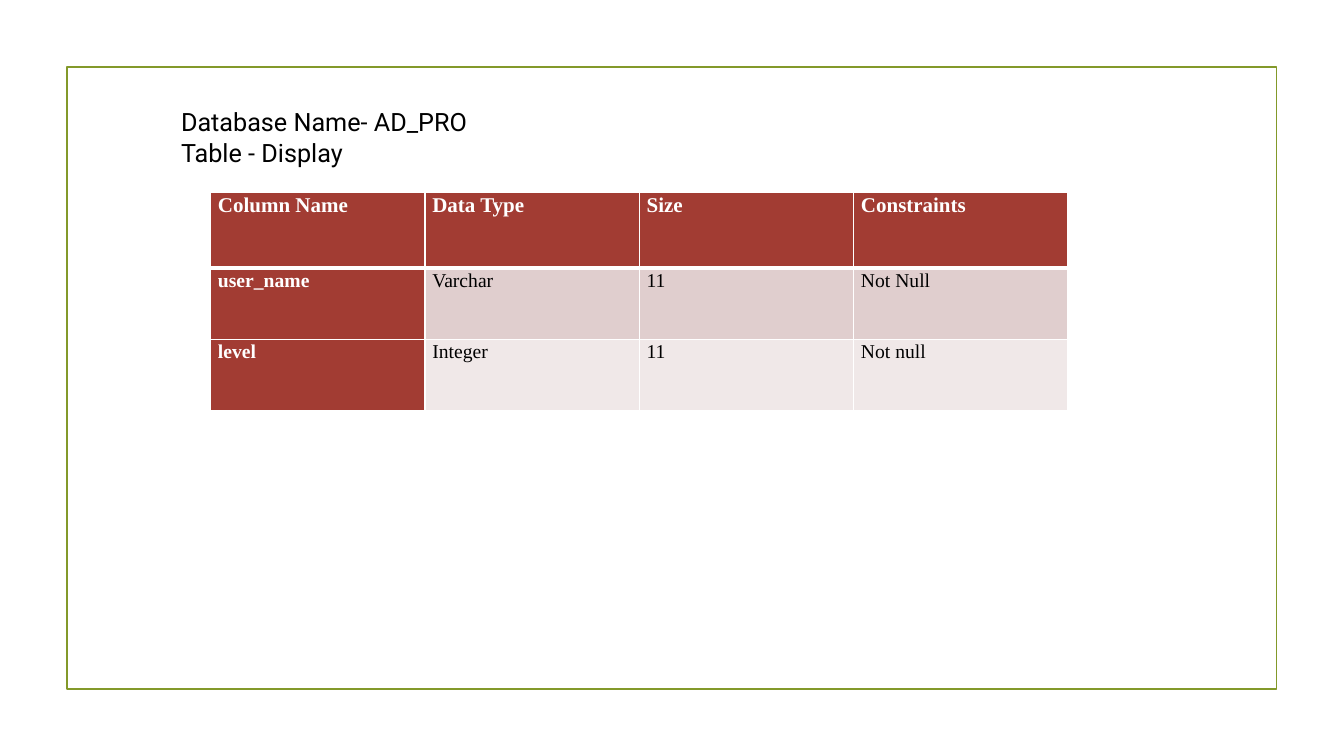
from lxml.etree import SubElement
from pptx import Presentation
from pptx.dml.color import RGBColor
from pptx.enum.shapes import MSO_SHAPE
from pptx.enum.text import MSO_AUTO_SIZE
from pptx.oxml.ns import qn
from pptx.util import Pt

WHITE, BLACK, OLIVE, BRICK = "FFFFFF", "000000", "83992A", "A23C33"
BANDS = ["E0CECE", "F0E8E8"]
COLUMN_WIDTH = 153.1
ROW_HEIGHTS = [54, 51, 51]
SCHEMA = [
    ["Column Name", "Data Type", "Size", "Constraints"],
    ["user_name", "Varchar", "11", "Not Null"],
    ["level", "Integer", "11", "Not null"],
]


def color(hex_value):
    return RGBColor.from_string(hex_value)


def style_paragraph(paragraph, typeface, size, hex_value, bold=False):
    font = paragraph.font
    font.name, font.size, font.bold = typeface, Pt(size), bold
    font.color.rgb = color(hex_value)


def add_frame(slide, left, top, width, height):
    frame = slide.shapes.add_shape(
        MSO_SHAPE.RECTANGLE, Pt(left), Pt(top), Pt(width), Pt(height))
    frame.shadow.inherit = False
    frame.fill.background()
    frame.line.color.rgb = color(OLIVE)
    frame.line.width = Pt(1.25)


def add_heading(slide, left, top, width, height, lines):
    heading = slide.shapes.add_textbox(Pt(left), Pt(top), Pt(width), Pt(height)).text_frame
    heading.word_wrap = True
    heading.auto_size = MSO_AUTO_SIZE.SHAPE_TO_FIT_TEXT
    heading.text = "\n".join(lines)
    for paragraph in heading.paragraphs:
        style_paragraph(paragraph, "Roboto", 18, BLACK)


def add_border(cell, side, width):
    properties = cell._tc.get_or_add_tcPr()
    border = SubElement(properties, qn(f"a:ln{side}"), w=str(Pt(width)))
    fill = SubElement(border, qn("a:solidFill"))
    SubElement(fill, qn("a:srgbClr"), val=WHITE)


def fill_cell(cell, text, row, column):
    is_header = row == 0
    emphasized = is_header or column == 0
    cell.margin_left = cell.margin_right = Pt(5.2)
    cell.margin_top = cell.margin_bottom = Pt(0)
    widths = {"L": 1, "R": 1, "T": 3 if row == 1 else 1, "B": 3 if is_header else 1}
    for side, width in widths.items():
        add_border(cell, side, width)
    cell.fill.solid()
    cell.fill.fore_color.rgb = color(BRICK if emphasized else BANDS[row - 1])
    cell.text = text
    paragraph = cell.text_frame.paragraphs[0]
    paragraph.line_spacing = 1.07
    style_paragraph(paragraph, "Times New Roman", 15 if is_header else 14,
                    WHITE if emphasized else BLACK, emphasized)


def add_schema_table(slide, left, top):
    column_count = len(SCHEMA[0])
    table = slide.shapes.add_table(
        len(SCHEMA), column_count, Pt(left), Pt(top),
        Pt(COLUMN_WIDTH * column_count), Pt(sum(ROW_HEIGHTS))).table
    for table_column in table.columns:
        table_column.width = Pt(COLUMN_WIDTH)
    for row, texts in enumerate(SCHEMA):
        table.rows[row].height = Pt(ROW_HEIGHTS[row])
        for column, text in enumerate(texts):
            fill_cell(table.cell(row, column), text, row, column)


def main():
    presentation = Presentation()
    presentation.slide_width, presentation.slide_height = Pt(960), Pt(540)
    slide = presentation.slides.add_slide(presentation.slide_layouts[6])
    add_frame(slide, 47.8, 48, 864, 444)
    add_schema_table(slide, 150.5, 137.5)
    add_heading(slide, 122.2, 72.7, 480, 51, ["Database Name- AD_PRO", "Table - Display"])
    presentation.save("out.pptx")


if __name__ == "__main__":
    main()
